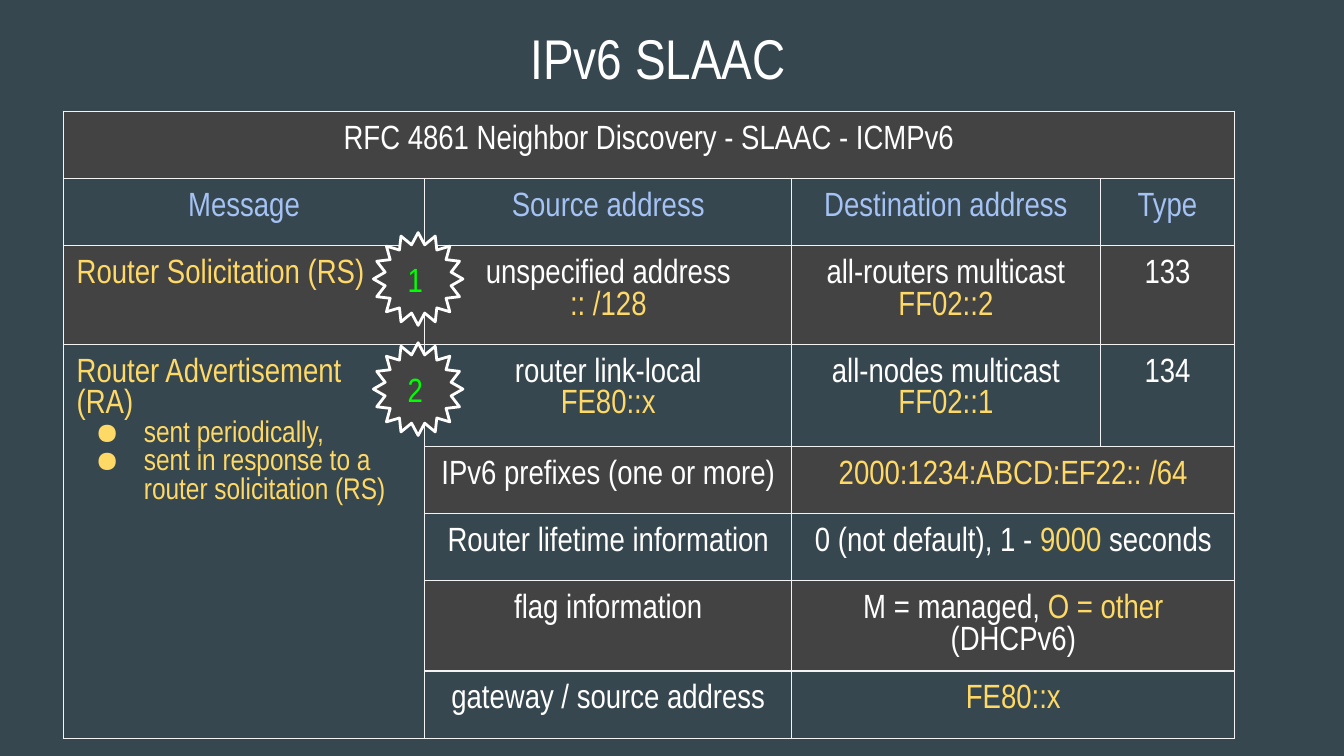
from dataclasses import dataclass

from lxml import etree
from pptx import Presentation
from pptx.dml.color import RGBColor
from pptx.enum.shapes import MSO_SHAPE
from pptx.enum.text import MSO_ANCHOR, PP_ALIGN
from pptx.oxml.ns import qn
from pptx.util import Pt


@dataclass(frozen=True)
class Theme:
    """Colours, font and type sizes of the slide."""
    background: str = "37474F"
    band: str = "434343"
    border: str = "F3F3F3"
    white: str = "FFFFFF"
    blue: str = "A4C2F4"
    yellow: str = "FFD966"
    green: str = "00FF00"
    font: str = "Arial Narrow"
    title_size: float = 30
    body_size: float = 18
    bullet_size: float = 16
    inset: float = 7.2


THEME = Theme()
W, B, Y = THEME.white, THEME.blue, THEME.yellow
COLUMNS = (193.7, 196.6, 165.2, 72.2)
ROWS = (36, 36, 53, 54.6, 36, 36, 36, 36)
SPANS = (((0, 0), (0, 3)), ((3, 0), (7, 0))) + tuple(((r, 2), (r, 3)) for r in range(4, 8))
CELLS = {
    (0, 0): [("RFC 4861 Neighbor Discovery - SLAAC - ICMPv6", W)],
    (1, 0): [("Message", B)],
    (1, 1): [("Source address", B)],
    (1, 2): [("Destination address", B)],
    (1, 3): [("Type", B)],
    (2, 0): [("Router Solicitation (RS)", Y)],
    (2, 1): [("unspecified address\n", W), (":: /128", Y)],
    (2, 2): [("all-routers multicast\n", W), ("FF02::2", Y)],
    (2, 3): [("133", W)],
    (3, 0): [("Router Advertisement \n(RA)", Y)],
    (3, 1): [("router link-local\n", W), ("FE80::x", Y)],
    (3, 2): [("all-nodes multicast\n", W), ("FF02::1", Y)],
    (3, 3): [("134", W)],
    (4, 1): [("IPv6 prefixes (one or more)", W)],
    (4, 2): [("2000:1234:ABCD:EF22:: /64", Y)],
    (5, 1): [("Router lifetime information", W)],
    (5, 2): [("0 (not default), 1 - ", W), ("9000", Y), (" seconds", W)],
    (6, 1): [("flag information", W)],
    (6, 2): [("M = managed, ", W), ("O = other", Y), (" (DHCPv6)", W)],
    (7, 1): [("gateway / source address", W)],
    (7, 2): [("FE80::x", Y)],
}
BULLETS = ("sent periodically,", "sent in response to a router solicitation (RS)")


def rgb(value):
    """Turn a hex string into a colour."""
    return RGBColor.from_string(value)


def set_insets(target):
    """Give a cell or text frame equal insets."""
    for side in ("left", "top", "right", "bottom"):
        setattr(target, f"margin_{side}", Pt(THEME.inset))


def write(paragraph, runs, align=PP_ALIGN.CENTER, size=THEME.body_size):
    """Write coloured runs into a paragraph, with line breaks at newlines."""
    paragraph.alignment = align
    for text, color in runs:
        for index, line in enumerate(text.split("\n")):
            if index:
                paragraph.add_line_break()
            if line:
                run = paragraph.add_run()
                run.text = line
                run.font.name = THEME.font
                run.font.size = Pt(size)
                run.font.color.rgb = rgb(color)


def add_bullet(frame, text):
    """Append a bulleted paragraph."""
    paragraph = frame.add_paragraph()
    write(paragraph, [(text, Y)], PP_ALIGN.LEFT, THEME.bullet_size)
    props = paragraph._p.get_or_add_pPr()
    props.set("marL", str(Pt(36)))
    props.set("indent", str(Pt(-26)))
    color = etree.SubElement(props, qn("a:buClr"))
    etree.SubElement(color, qn("a:srgbClr"), val=Y)
    etree.SubElement(props, qn("a:buChar"), char="●")


def format_cell(cell, banded):
    """Set the borders, insets and fill of a cell."""
    props = cell._tc.get_or_add_tcPr()
    for side in ("lnL", "lnR", "lnT", "lnB"):
        line = etree.SubElement(props, qn(f"a:{side}"), w=str(Pt(0.75)))
        fill = etree.SubElement(line, qn("a:solidFill"))
        etree.SubElement(fill, qn("a:srgbClr"), val=THEME.border)
    set_insets(cell)
    if banded:
        cell.fill.solid()
        cell.fill.fore_color.rgb = rgb(THEME.band)
    else:
        cell.fill.background()


def add_title(slide, text):
    """Place and format the title placeholder."""
    title = slide.shapes.title
    title.left, title.top, title.width, title.height = Pt(24.5), Pt(5), Pt(671), Pt(45.4)
    frame = title.text_frame
    set_insets(frame)
    frame.margin_right, frame.margin_bottom = Pt(22), Pt(2)
    frame.vertical_anchor = MSO_ANCHOR.BOTTOM
    write(frame.paragraphs[0], [(text, W)], size=THEME.title_size)


def add_message_table(slide):
    """Add the table of messages."""
    table = slide.shapes.add_table(len(ROWS), len(COLUMNS), Pt(33.9), Pt(59.6),
                                   Pt(sum(COLUMNS)), Pt(sum(ROWS))).table
    table.first_row = table.horz_banding = False
    for column, width in zip(table.columns, COLUMNS):
        column.width = Pt(width)
    for row, height in zip(table.rows, ROWS):
        row.height = Pt(height)
    for r in range(len(ROWS)):
        for c in range(len(COLUMNS)):
            format_cell(table.cell(r, c), r % 2 == 0 and (c > 0 or r < 3))
    for first, last in SPANS:
        table.cell(*first).merge(table.cell(*last))
    for (r, c), runs in CELLS.items():
        align = PP_ALIGN.LEFT if c == 0 and r > 1 else PP_ALIGN.CENTER
        write(table.cell(r, c).text_frame.paragraphs[0], runs, align)
    for text in BULLETS:
        add_bullet(table.cell(3, 0).text_frame, text)


def add_step_star(slide, top, number):
    """Add a numbered star."""
    star = slide.shapes.add_shape(MSO_SHAPE.STAR_16_POINT, Pt(200), Pt(top), Pt(48), Pt(49.7))
    star.adjustments[0] = 0.375
    star.shadow.inherit = False
    star.fill.solid()
    star.fill.fore_color.rgb = rgb(THEME.band)
    star.line.color.rgb = rgb(W)
    star.line.width = Pt(1.5)
    frame = star.text_frame
    set_insets(frame)
    frame.vertical_anchor = MSO_ANCHOR.MIDDLE
    write(frame.paragraphs[0], [(str(number), THEME.green)], PP_ALIGN.LEFT)


def main():
    """Build the slide and save it."""
    deck = Presentation()
    deck.slide_width, deck.slide_height = Pt(720), Pt(405)
    slide = deck.slides.add_slide(deck.slide_layouts[5])
    slide.background.fill.solid()
    slide.background.fill.fore_color.rgb = rgb(THEME.background)
    add_title(slide, "IPv6 SLAAC")
    add_message_table(slide)
    for number, top in enumerate((124.6, 183.6), start=1):
        add_step_star(slide, top, number)
    deck.save("out.pptx")


main()
